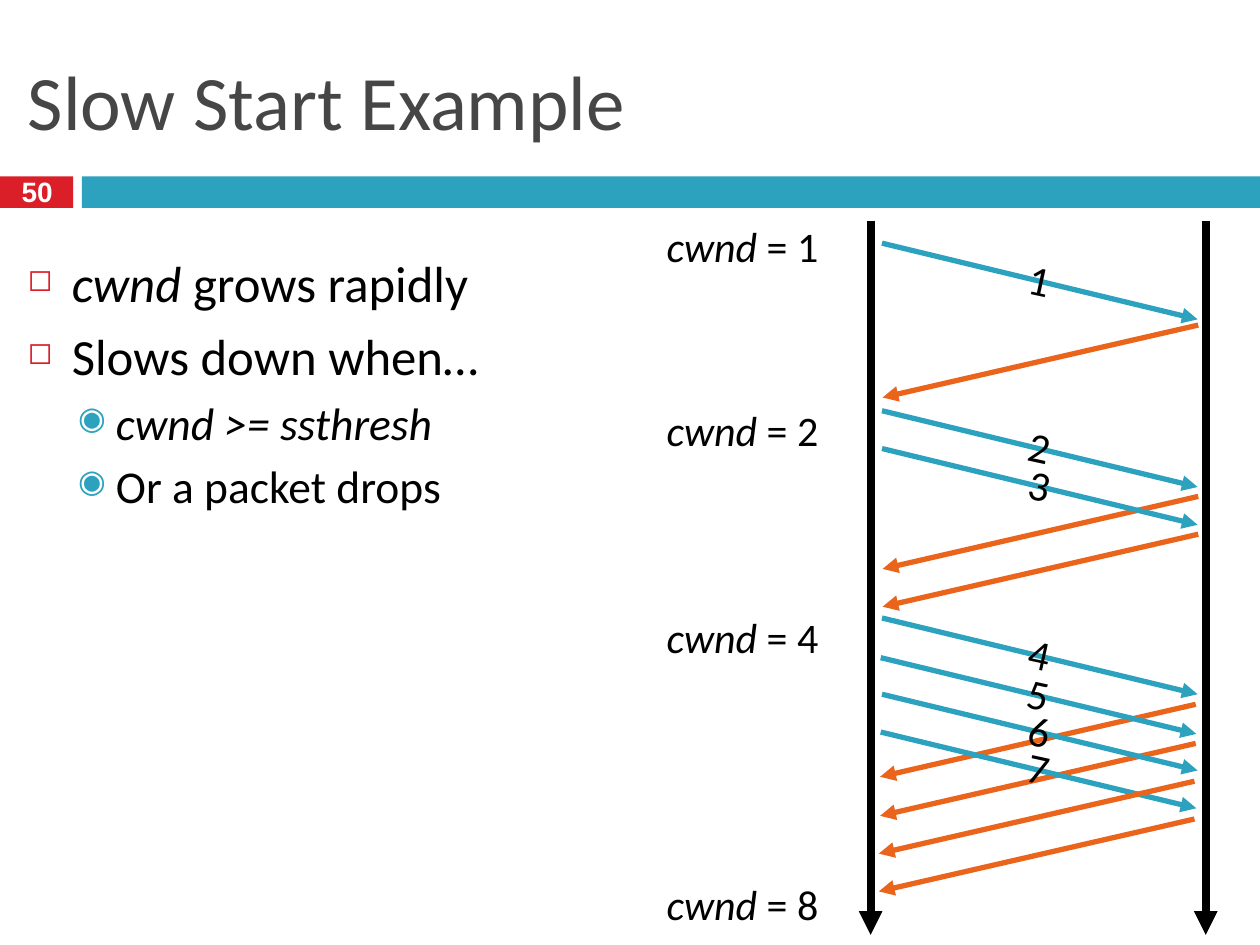
from dataclasses import dataclass
from typing import Optional

from lxml import etree
from pptx import Presentation
from pptx.dml.color import RGBColor
from pptx.enum.shapes import MSO_CONNECTOR, MSO_SHAPE
from pptx.enum.text import MSO_ANCHOR, MSO_AUTO_SIZE, PP_ALIGN
from pptx.oxml.ns import qn
from pptx.util import Emu, Inches, Pt

STRAIGHT = MSO_CONNECTOR.STRAIGHT
RECTANGLE = MSO_SHAPE.RECTANGLE
TOP, MIDDLE = MSO_ANCHOR.TOP, MSO_ANCHOR.MIDDLE
LEFT, CENTER = PP_ALIGN.LEFT, PP_ALIGN.CENTER
FIT_SHAPE, FIXED = MSO_AUTO_SIZE.SHAPE_TO_FIT_TEXT, MSO_AUTO_SIZE.NONE

SLIDE_WIDTH, SLIDE_HEIGHT = Inches(10), Inches(7.5)
COLUMNS, ROWS = 100, 75


@dataclass(frozen=True)
class Theme:
    font: str = "Calibri"
    number_font: str = "Arial"
    heading: str = "464646"
    text: str = "000000"
    white: str = "FFFFFF"
    red: str = "DA1F28"
    teal: str = "2DA2BF"
    orange: str = "EB641B"
    title_size: int = 44
    body_size: int = 29
    detail_size: int = 26
    label_size: int = 24
    number_size: int = 16
    message_width: float = 3
    timeline_width: float = 4.5


THEME = Theme()


@dataclass(frozen=True)
class Area:
    column: float
    row: float
    columns: float
    rows: float

    def edges(self) -> tuple[Emu, Emu, Emu, Emu]:
        return across(self.column), down(self.row), across(self.columns), down(self.rows)


@dataclass(frozen=True)
class Span:
    text: str
    size: int = THEME.label_size
    color: str = THEME.text
    font: str = THEME.font
    italic: bool = False
    bold: bool = False


@dataclass(frozen=True)
class Bullet:
    symbol: str
    color: str
    percent: int
    level: int
    margin: float
    hang: float
    space: int


@dataclass(frozen=True)
class Message:
    column: float
    row: float
    number: Optional[int] = None


MAIN = Bullet("◻", THEME.red, 60, 0, 0.35, 0.35, 7)
DETAIL = Bullet("◉", THEME.teal, 70, 1, 0.7, 0.3, 5)
BODY = [
    (MAIN, [Span("cwnd", THEME.body_size, italic=True), Span(" grows rapidly", THEME.body_size)]),
    (MAIN, [Span("Slows down when…", THEME.body_size)]),
    (DETAIL, [Span("cwnd >= ssthresh", THEME.detail_size, italic=True)]),
    (DETAIL, [Span("Or a packet drops", THEME.detail_size)]),
]

MESSAGE_COLUMNS, PACKET_ROWS, ACK_ROWS = 25.05, 6.05, 5.75
PACKETS = [
    Message(70, 19.3, 1), Message(70, 32.6, 2), Message(70, 35.6, 3), Message(70, 49.05, 4),
    Message(69.9, 52.2, 5), Message(70, 55.1, 6), Message(69.9, 58.1, 7),
]
EARLY_ACKS = [
    Message(95.1, 25.8), Message(95.1, 39.4), Message(95.1, 42.4),
    Message(94.9, 55.9), Message(94.9, 59),
]
LATE_ACKS = [Message(94.8, 62), Message(94.8, 65)]
TIMELINES = (69.1, 95.7)
WINDOWS = {1: 17, 2: 31.6, 4: 48, 8: 69.2}


def across(columns: float) -> Emu:
    return Emu(round(SLIDE_WIDTH * columns / COLUMNS))


def down(rows: float) -> Emu:
    return Emu(round(SLIDE_HEIGHT * rows / ROWS))


def rgb(color: str) -> RGBColor:
    return RGBColor.from_string(color)


def add_bar(shapes, area: Area, color: str) -> None:
    bar = shapes.add_shape(RECTANGLE, *area.edges())
    bar.shadow.inherit = False
    bar.fill.solid()
    bar.fill.fore_color.rgb = rgb(color)
    bar.line.fill.background()


def add_arrow(shapes, start: Message, columns: float, rows: float, color: str, width: float) -> None:
    arrow = shapes.add_connector(
        STRAIGHT, across(start.column), down(start.row),
        across(start.column + columns), down(start.row + rows))
    arrow.line.color.rgb = rgb(color)
    arrow.line.width = Pt(width)
    etree.SubElement(arrow.line._get_or_add_ln(), qn("a:tailEnd"), type="triangle")
    etree.SubElement(arrow._element.spPr, qn("a:effectLst"))


def add_spans(para, spans: list[Span]) -> None:
    for span in spans:
        run = para.add_run()
        run.text = span.text
        run.font.name = span.font
        run.font.size = Pt(span.size)
        run.font.color.rgb = rgb(span.color)
        run.font.italic = span.italic
        run.font.bold = span.bold


def add_box(shapes, area: Area, spans: list[Span], align=LEFT, anchor=TOP, wrap=True, fit=FIXED):
    box = shapes.add_textbox(*area.edges())
    frame = box.text_frame
    frame.margin_left = frame.margin_right = Inches(0.05)
    frame.margin_top = frame.margin_bottom = Inches(0.05)
    frame.word_wrap = wrap
    frame.auto_size = fit
    frame.vertical_anchor = anchor
    frame.paragraphs[0].alignment = align
    add_spans(frame.paragraphs[0], spans)
    return box


def add_bullet(para, bullet: Bullet) -> None:
    para.level = bullet.level
    properties = para._p.get_or_add_pPr()
    properties.set("marL", str(Inches(bullet.margin)))
    properties.set("indent", str(-Inches(bullet.hang)))
    color = etree.SubElement(properties, qn("a:buClr"))
    etree.SubElement(color, qn("a:srgbClr"), val=bullet.color)
    etree.SubElement(properties, qn("a:buSzPct"), val=str(bullet.percent * 1000))
    etree.SubElement(properties, qn("a:buChar"), char=bullet.symbol)


def add_body(shapes) -> None:
    frame = add_box(shapes, Area(1.7, 19.5, 46.2, 53.8), []).text_frame
    for index, (bullet, spans) in enumerate(BODY):
        para = frame.add_paragraph() if index else frame.paragraphs[0]
        add_bullet(para, bullet)
        if index:
            para.space_before = Pt(bullet.space)
        add_spans(para, spans)


def add_packet(shapes, packet: Message) -> None:
    group = shapes.add_group_shape()
    add_arrow(group.shapes, packet, MESSAGE_COLUMNS, PACKET_ROWS, THEME.teal, THEME.message_width)
    area = Area(packet.column + 7, packet.row + 0.35, 11.1, 4.8)
    label = add_box(group.shapes, area, [Span(str(packet.number))], CENTER, fit=FIT_SHAPE)
    label.rotation = 12.3


def add_acks(shapes, acks: list[Message]) -> None:
    for ack in acks:
        add_arrow(shapes, ack, -MESSAGE_COLUMNS, ACK_ROWS, THEME.orange, THEME.message_width)


def main() -> None:
    deck = Presentation()
    deck.slide_width, deck.slide_height = SLIDE_WIDTH, SLIDE_HEIGHT
    shapes = deck.slides.add_slide(deck.slide_layouts[6]).shapes
    add_bar(shapes, Area(0, 14, 5.8, 2.5), THEME.red)
    add_bar(shapes, Area(6.5, 14, 93.5, 2.5), THEME.teal)
    title = Span("Slow Start Example", THEME.title_size, THEME.heading)
    add_box(shapes, Area(1.7, 2.5, 96.7, 10.8), [title], anchor=MIDDLE)
    number = Span("50", THEME.number_size, THEME.white, THEME.number_font, bold=True)
    box = add_box(shapes, Area(1.2, 13.7, 3.5, 3.5), [number], CENTER, MIDDLE, wrap=False)
    box.text_frame.paragraphs[0].line_spacing = 0.8
    add_acks(shapes, EARLY_ACKS)
    for column in TIMELINES:
        add_arrow(shapes, Message(column, 17.5), 0, 56.7, THEME.text, THEME.timeline_width)
    for packet in PACKETS:
        add_packet(shapes, packet)
    add_acks(shapes, LATE_ACKS)
    for window, row in WINDOWS.items():
        spans = [Span("cwnd", italic=True), Span(f" = {window}")]
        add_box(shapes, Area(52.4, row, 13.5, 4.8), spans, wrap=False, fit=FIT_SHAPE)
    add_body(shapes)
    deck.save("out.pptx")


if __name__ == "__main__":
    main()
